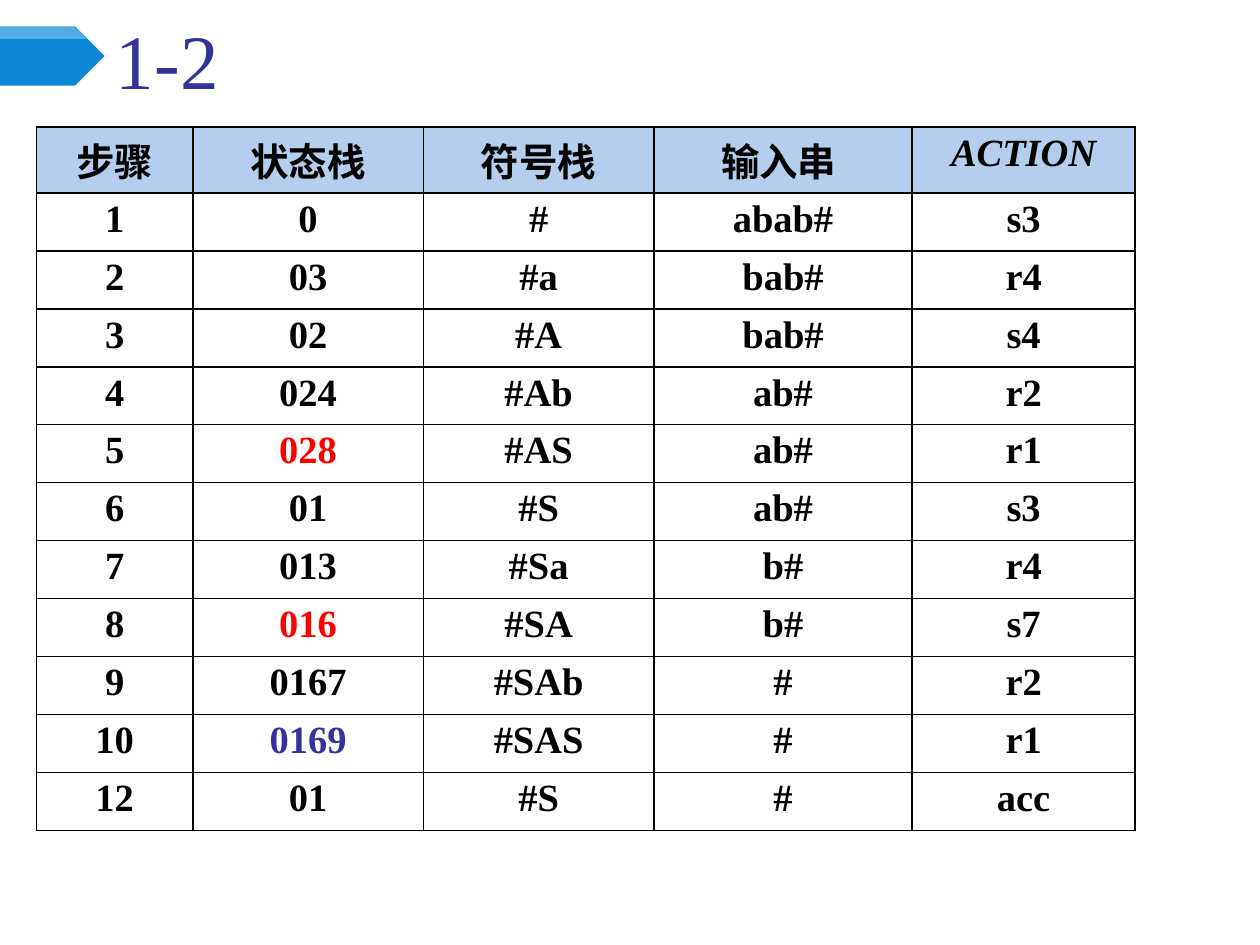
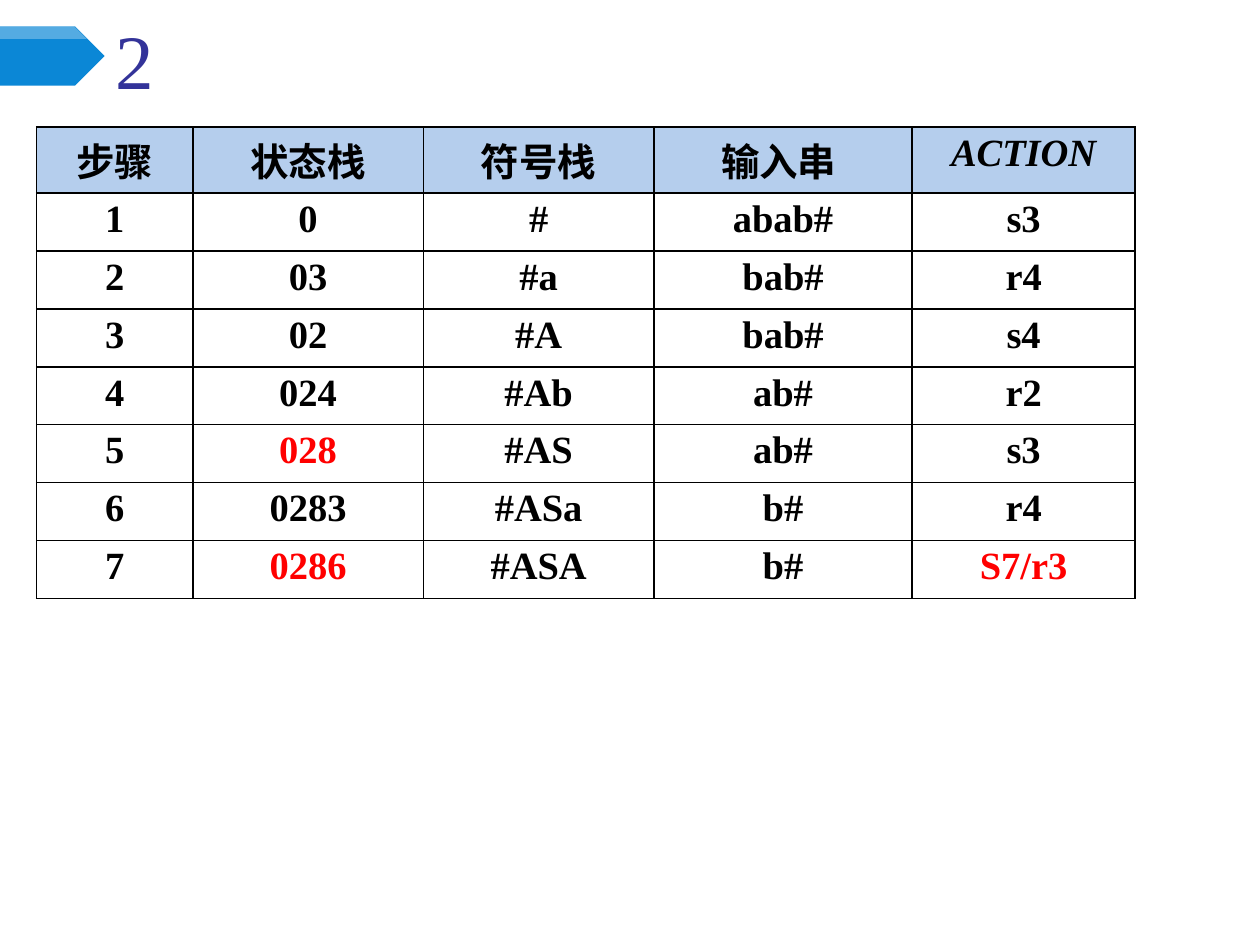
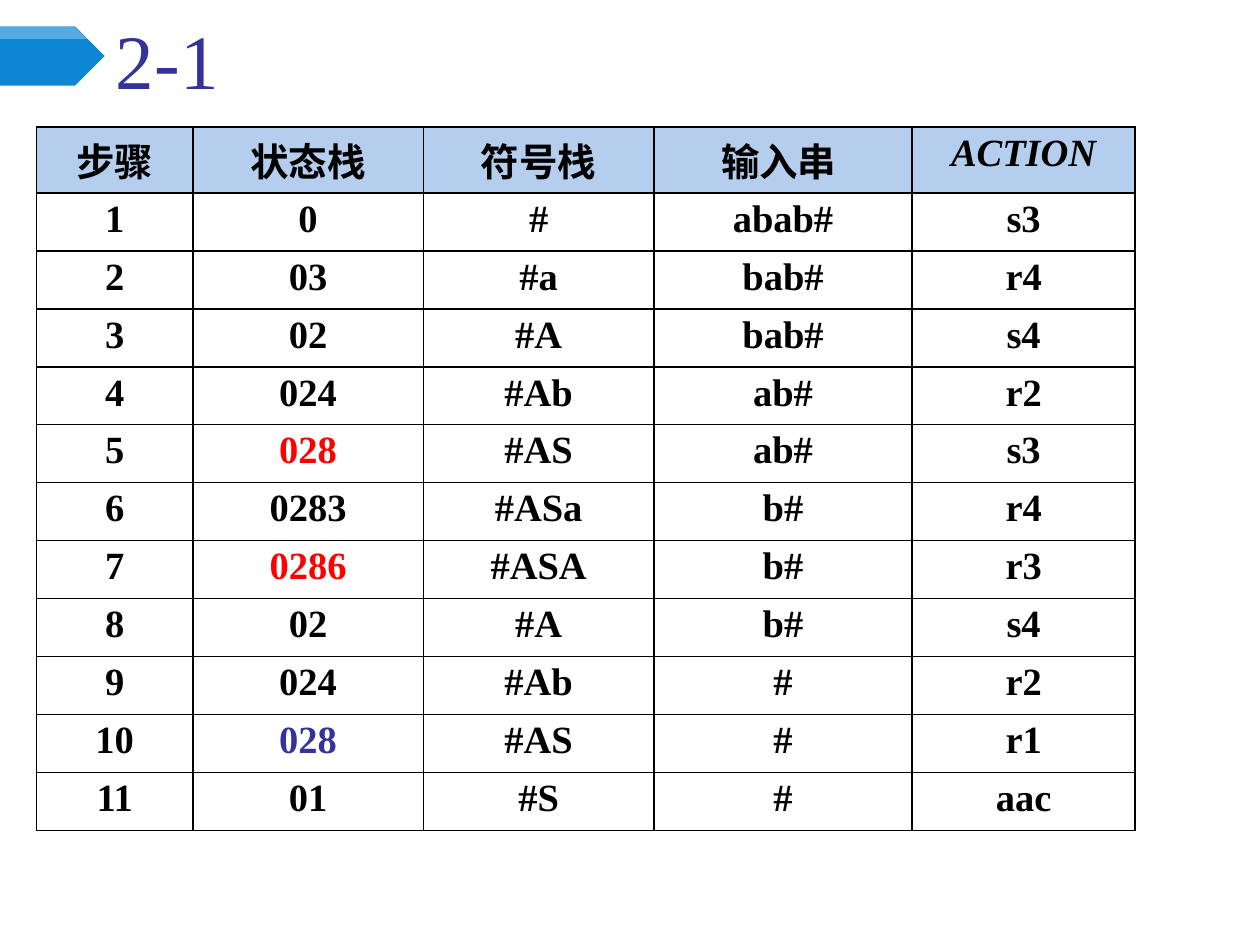
from lxml import etree
from pptx import Presentation
from pptx import util as u
from pptx.dml.color import RGBColor
from pptx.enum import shapes, text
from pptx.oxml.ns import qn

BLACK, RED, NAVY = "000000", "FF0000", "333399"
BLUE, PALE, WHITE = "0B87D6", "B5CEED", "FFFFFF"
ROMAN, HAN = "Times New Roman", "Noto Sans CJK SC"

WIDTHS = [1.24, 1.83, 1.83, 2.05, 1.77]
HEAD_H, ROW_H = 0.52, 0.46
HEADS = [("步骤", HAN), ("状态栈", HAN), ("符号栈", HAN), ("输入串 ", ROMAN), ("ACTION", ROMAN)]

# Each row: step, state stack, symbol stack, input, action
START = ["1 0 # abab# s3", "2 03 #a bab# r4", "3 02 #A bab# s4", "4 024 #Ab ab# r2"]
SHIFT = START + ["5 028 #AS ab# s3", "6 0283 #ASa b# r4"]
TRACES = [
    ("1-2",
     START + ["5 028 #AS ab# r1", "6 01 #S ab# s3", "7 013 #Sa b# r4",
              "8 016 #SA b# s7", "9 0167 #SAb # r2", "10 0169 #SAS # r1",
              "12 01 #S # acc"],
     {(5, 1): RED, (8, 1): RED, (10, 1): NAVY}),
    ("2",
     SHIFT + ["7 0286 #ASA b# S7/r3"],
     {(5, 1): RED, (7, 1): RED, (7, 4): RED}),
    ("2-1",
     SHIFT + ["7 0286 #ASA b# r3", "8 02 #A b# s4", "9 024 #Ab # r2",
              "10 028 #AS # r1", "11 01 #S # aac"],
     {(5, 1): RED, (7, 1): RED, (10, 1): NAVY}),
]


def rgb(hue):
    return RGBColor.from_string(hue)


def write(frame, words, size=22, font=ROMAN, hue=BLACK, bold=False,
          slant=False, align=text.PP_ALIGN.CENTER):
    para = frame.paragraphs[0]
    para.alignment = align
    run = para.add_run()
    run.text = words
    face = run.font
    face.name, face.size = font, u.Pt(size)
    face.bold, face.italic = bold, slant
    face.color.rgb = rgb(hue)
    east = etree.SubElement(face.latin_el if hasattr(face, "latin_el") else run._r.rPr, qn("a:ea"))
    east.set("typeface", HAN)


def paint(shape, hue, alpha=None):
    """Fill a shape flat, with opacity in percent if given."""
    shape.shadow.inherit = False
    shape.line.fill.background()
    shape.fill.solid()
    shape.fill.fore_color.rgb = rgb(hue)
    if alpha is not None:
        tint = shape.element.spPr.find(".//" + qn("a:srgbClr"))
        etree.SubElement(tint, qn("a:alpha")).set("val", str(alpha * 1000))


def add_band(slide):
    arrow = slide.shapes.add_shape(
        shapes.MSO_SHAPE.PENTAGON,
        u.Inches(0), u.Inches(0.21), u.Inches(0.83), u.Inches(0.47))
    paint(arrow, BLUE)
    pen = slide.shapes.build_freeform(0, u.Inches(0.21))
    edge = [(0.59, 0.21), (0.69, 0.31), (0, 0.31)]
    pen.add_line_segments([(u.Inches(x), u.Inches(y)) for x, y in edge])
    paint(pen.convert_to_shape(), WHITE, alpha=30)


def add_title(slide, words):
    title = slide.shapes.title
    title.left, title.top = u.Inches(0.82), u.Inches(0.18)
    title.width, title.height = u.Inches(8.88), u.Inches(0.7)
    frame = title.text_frame
    frame.auto_size = text.MSO_AUTO_SIZE.NONE
    frame.vertical_anchor = text.MSO_ANCHOR.BOTTOM
    write(frame, words, size=44, hue=NAVY, align=text.PP_ALIGN.LEFT)


def rule(cell):
    """Draw a thin black line on all four sides of a cell."""
    props = cell._tc.get_or_add_tcPr()
    for spot, side in enumerate(("lnL", "lnR", "lnT", "lnB")):
        line = etree.Element(qn("a:" + side), w=str(u.Pt(1)))
        fill = etree.SubElement(line, qn("a:solidFill"))
        etree.SubElement(fill, qn("a:srgbClr")).set("val", BLACK)
        props.insert(spot, line)


def set_cell(cell, words, fill=None, **form):
    cell.margin_left = cell.margin_right = u.Inches(0.1)
    cell.margin_top = cell.margin_bottom = u.Inches(0.04)
    if fill:
        cell.fill.solid()
        cell.fill.fore_color.rgb = rgb(fill)
    else:
        cell.fill.background()
    rule(cell)
    write(cell.text_frame, words, bold=True, **form)


def add_trace(slide, rows, marks):
    """Add the parse table; marks maps (row, column) to a text colour."""
    high = HEAD_H + ROW_H * len(rows)
    grid = slide.shapes.add_table(
        len(rows) + 1, len(HEADS), u.Inches(0.29), u.Inches(1.01),
        u.Inches(sum(WIDTHS)), u.Inches(high)).table
    grid.first_row = grid.horz_banding = False
    for col, wide in zip(grid.columns, WIDTHS):
        col.width = u.Inches(wide)
    for r, row in enumerate(grid.rows):
        row.height = u.Inches(ROW_H if r else HEAD_H)
    for c, (words, font) in enumerate(HEADS):
        set_cell(grid.cell(0, c), words, fill=PALE, font=font,
                 slant=words == "ACTION")
    grid.cell(0, 0).vertical_anchor = text.MSO_ANCHOR.MIDDLE
    for r, row in enumerate(rows, 1):
        for c, words in enumerate(row.split()):
            set_cell(grid.cell(r, c), words, hue=marks.get((r, c), BLACK))


def main():
    deck = Presentation()
    deck.slide_width, deck.slide_height = u.Inches(10), u.Inches(7.5)
    for name, rows, marks in TRACES:
        slide = deck.slides.add_slide(deck.slide_layouts[5])
        add_band(slide)
        add_trace(slide, rows, marks)
        add_title(slide, name)
    deck.save("out.pptx")


if __name__ == "__main__":
    main()
